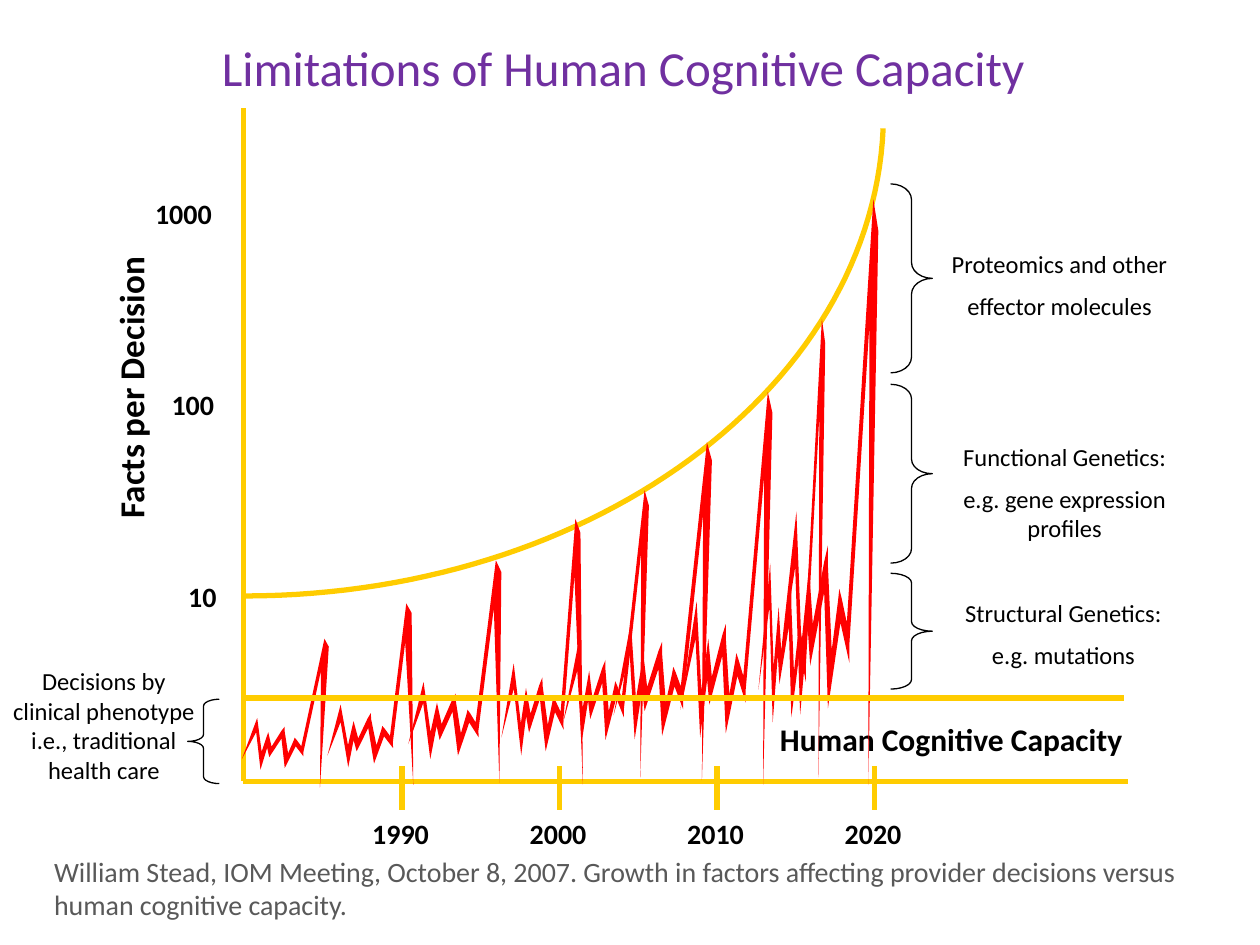
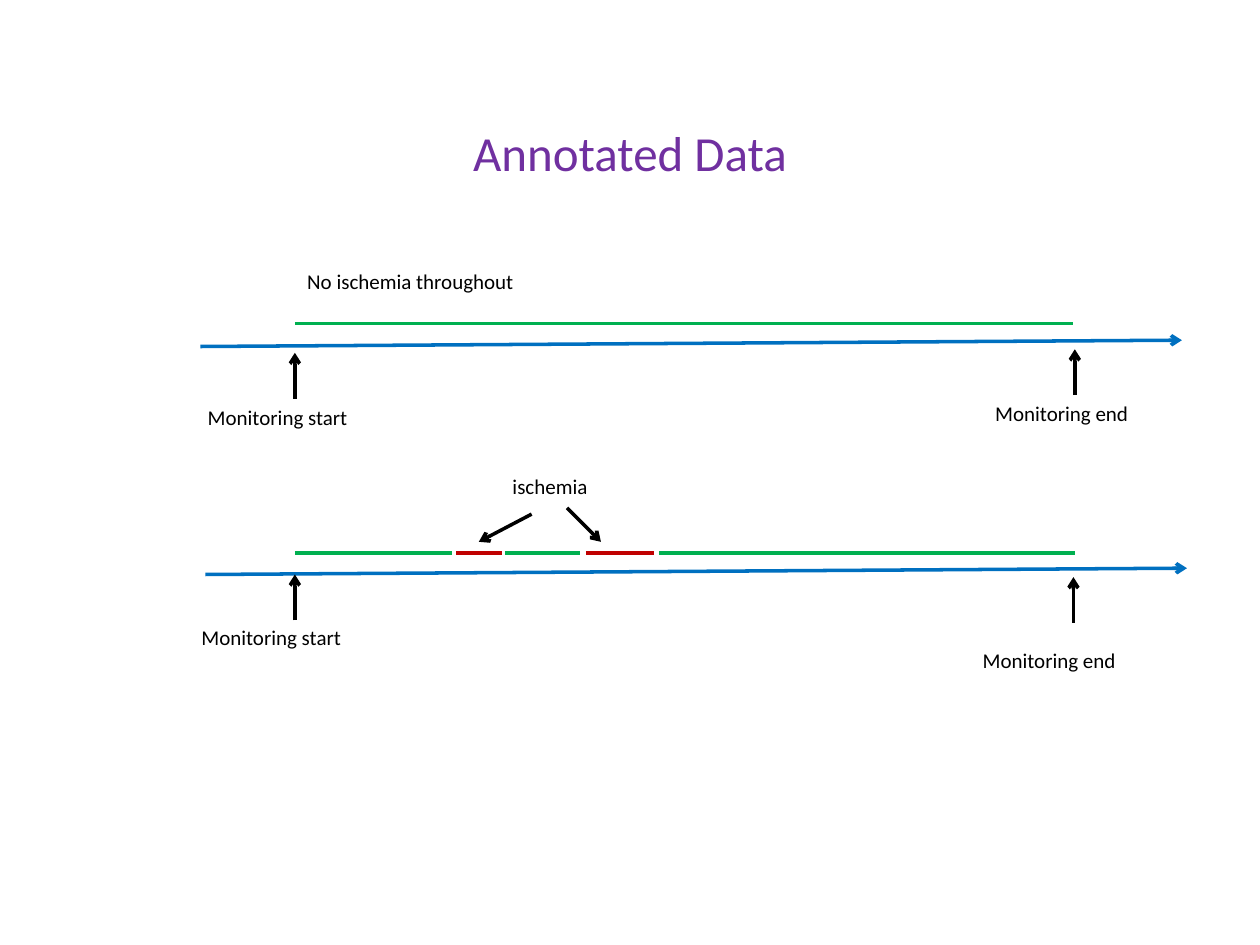
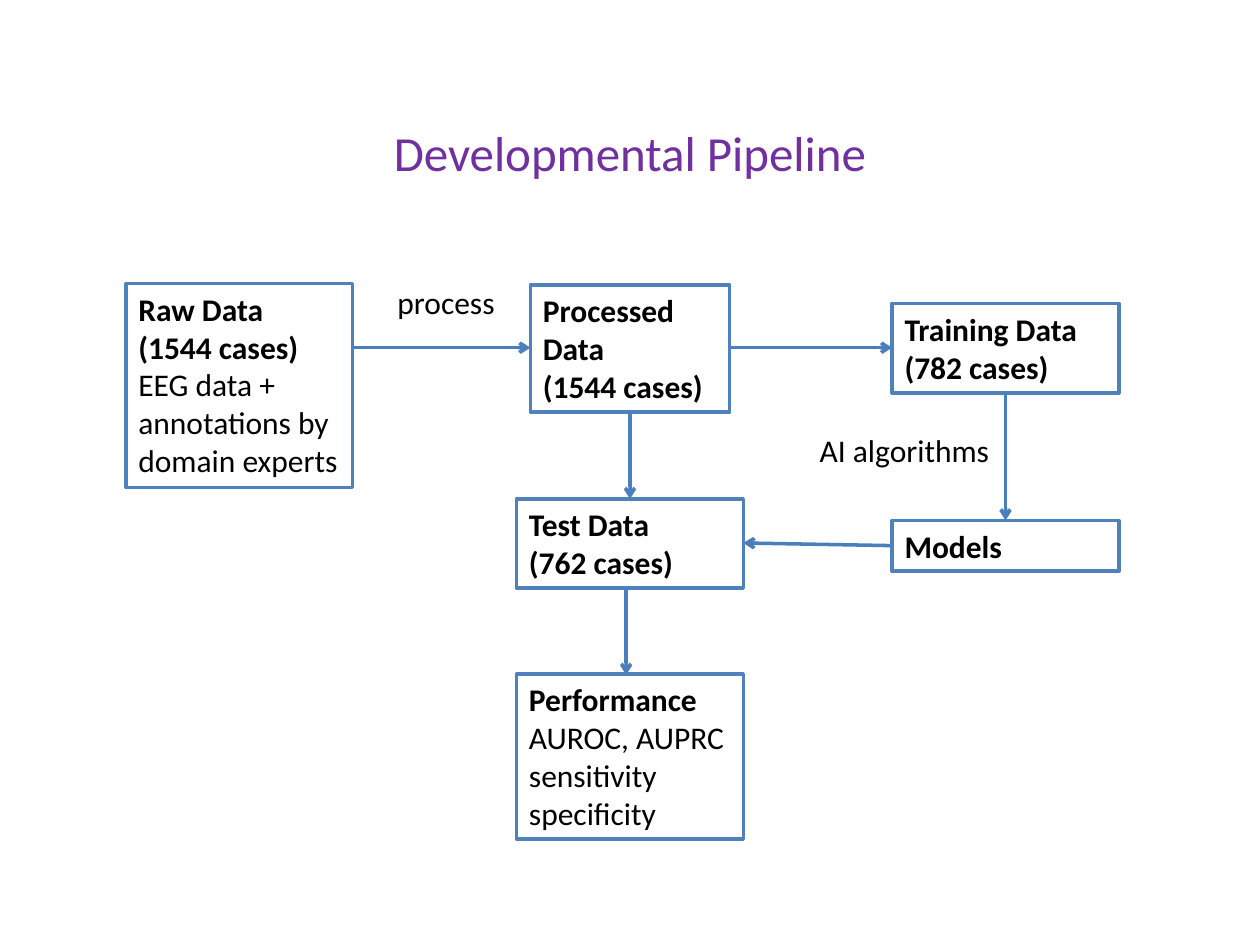
from lxml import etree
from pptx import Presentation
from pptx.dml.color import RGBColor
from pptx.enum import shapes, text
from pptx.oxml import ns
from pptx.util import Pt

BLACK = RGBColor(0x00, 0x00, 0x00)
PURPLE = RGBColor(0x70, 0x30, 0xA0)
GRAY = RGBColor(0x59, 0x59, 0x59)
GOLD = RGBColor(0xFF, 0xCC, 0x00)
RED = RGBColor(0xFF, 0x00, 0x00)
GREEN = RGBColor(0x00, 0xB0, 0x50)
BLUE = RGBColor(0x00, 0x70, 0xC0)
CRIMSON = RGBColor(0xC0, 0x00, 0x00)
STEEL = RGBColor(0x4F, 0x81, 0xBD)
SLATE = RGBColor(0x4B, 0x7E, 0xBC)
FONT = "Calibri"
LEFT, CENTER, RIGHT = text.PP_ALIGN.LEFT, text.PP_ALIGN.CENTER, text.PP_ALIGN.RIGHT
SHAPE = shapes.MSO_SHAPE

# Spike outline in percent of its width and height
SPIKE = [
    (100, 5.4), (95, 0), (68.4, 72.3), (63.3, 68.2), (60.8, 66.5), (59.5, 68.6),
    (53.2, 77), (49.4, 62.6), (49.4, 59.1), (45.6, 61.9), (34.2, 72.5), (30.4, 62.8),
    (22.8, 75.9), (17.7, 53.3), (0, 80.9), (16.5, 62.8), (21.5, 88), (29.1, 73.3),
    (31.6, 79.6), (45.6, 67.1), (49.4, 86.9), (62, 72.3), (68.4, 77.2), (70.9, 79.1),
    (70.9, 76.1), (91.1, 21.3), (89.9, 100),
]
SPIKES = [
    (138.2, 365, 49.7, 85, 0), (321.8, 280.1, 49, 164.2, 0),
    (231.8, 321.1, 56.9, 127.4, 357.8), (185, 346.3, 53.3, 103.7, 356.3),
    (284.4, 297.4, 50.4, 151.9, 357.4), (445, 113.8, 56.9, 334.8, 0),
    (433.4, 182.2, 38.2, 262.1, 0), (388.8, 223.9, 52.6, 224.6, 0),
    (350.6, 252.7, 56.2, 193, 0),
]
CURVE = [(139.7, 340.6), (337, 340.6), (498.2, 222.5), (504.7, 73.4)]


def write(frame, *lines, size=18, color=BLACK, bold=0, align=LEFT, gap=0):
    """Put lines in a frame; bold counts the leading bold lines."""
    frame.word_wrap = True
    frame.auto_size = text.MSO_AUTO_SIZE.NONE
    frame.vertical_anchor = text.MSO_ANCHOR.TOP
    for i, line in enumerate(lines):
        para = frame.paragraphs[0] if i == 0 else frame.add_paragraph()
        para.text = line
        para.alignment = align
        para.space_before = Pt(gap if i else 0)
        font = para.font
        font.name, font.size, font.bold = FONT, Pt(size), i < bold
        font.color.rgb = color


def label(slide, box, *lines, turn=0, **fmt):
    """Add a text box."""
    item = slide.shapes.add_textbox(*map(Pt, box))
    item.rotation = turn
    write(item.text_frame, *lines, **fmt)


def start(deck, title, box=(36, 66.2, 648, 41)):
    """Add a title-only slide with its title placed."""
    slide = deck.slides.add_slide(deck.slide_layouts[5])
    head = slide.shapes.title
    head.left, head.top, head.width, head.height = map(Pt, box)
    write(head.text_frame, title, size=28, color=PURPLE, align=CENTER)
    return slide


def rule(slide, x1, y1, x2, y2, color=BLACK, width=2, arrow=False):
    """Draw a straight line, with an arrowhead at its end if asked."""
    kind = shapes.MSO_CONNECTOR.STRAIGHT
    item = slide.shapes.add_connector(kind, Pt(x1), Pt(y1), Pt(x2), Pt(y2))
    item.line.color.rgb = color
    item.line.width = Pt(width)
    props = item._element.spPr
    if arrow:
        etree.SubElement(props.find(ns.qn("a:ln")), ns.qn("a:tailEnd"), type="arrow")
    etree.SubElement(props, ns.qn("a:effectLst"))


def frame(slide, kind, box, color, width):
    """Add an unfilled preset shape with an outline."""
    item = slide.shapes.add_shape(kind, *map(Pt, box))
    item.shadow.inherit = False
    item.fill.background()
    item.line.color.rgb = color
    item.line.width = Pt(width)
    return item


def brace(slide, kind, box, bend):
    """Add a curly brace."""
    item = frame(slide, kind, box, BLACK, 0.75)
    item.adjustments[0] = bend


def node(slide, box, *lines, bold=2):
    """Add a pipeline box with text."""
    write(frame(slide, SHAPE.RECTANGLE, box, STEEL, 2).text_frame, *lines, bold=bold)


def trace(slide, points, close):
    """Build a freeform through points."""
    spots = [(Pt(x), Pt(y)) for x, y in points]
    path = slide.shapes.build_freeform(*spots[0], scale=1.0)
    path.add_line_segments(spots[1:], close=close)
    item = path.convert_to_shape()
    item.shadow.inherit = False
    return item


def spike(slide, x, y, w, h, turn):
    """Draw one red burst of facts."""
    item = trace(slide, [(x + w * u / 100, y + h * v / 100) for u, v in SPIKE], True)
    item.fill.solid()
    item.fill.fore_color.rgb = RED
    item.line.fill.background()
    item.rotation = turn


def growth(slide, steps=60):
    """Draw the growth curve as a sampled cubic."""
    points = []
    for i in range(steps + 1):
        t = i / steps
        parts = ((1 - t) ** 3, 3 * t * (1 - t) ** 2, 3 * t * t * (1 - t), t ** 3)
        points.append([sum(p * c[k] for p, c in zip(parts, CURVE)) for k in (0, 1)])
    item = trace(slide, points, False)
    item.fill.background()
    item.line.color.rgb = GOLD
    item.line.width = Pt(3)


def limits(deck):
    """Build the cognitive capacity slide."""
    slide = start(deck, "Limitations of Human Cognitive Capacity", (18, 18, 676, 41))
    note = dict(size=14, align=CENTER, gap=7)
    mark = dict(size=16, bold=1, align=CENTER)
    label(slide, (-0.7, 377.3, 120.2, 74.9),
          "Decisions by clinical phenotype i.e., traditional health care", **note)
    label(slide, (-21.6, 205.9, 192.2, 31), "Facts per Decision",
          turn=270, size=20, bold=1, align=CENTER)
    rule(slide, 139, 62, 139, 446.4, GOLD, 3)
    rule(slide, 139, 446.4, 644.4, 446.4, GOLD, 3)
    for i, name in enumerate(("1000", "100", "10")):
        wide = 54 - 10.8 * i
        label(slide, (131.8 - wide, 108.8 + 109.4 * i, wide, 26.6), name, **mark)
    for i, year in enumerate(("1990", "2000", "2010", "2020")):
        x = 229.7 + 90 * i
        rule(slide, x, 437.8, x, 463, GOLD, 3)
        label(slide, (x - 26.7, 463, 51.8, 26.6), year, **mark)
    label(slide, (431.3, 408.2, 224.6, 50.4), "Human Cognitive Capacity",
          bold=1, align=CENTER)
    growth(slide)
    for burst in SPIKES:
        spike(slide, *burst)
    rule(slide, 138.2, 398.9, 642.2, 398.9, GOLD, 3)
    for y, h, bend in ((327.6, 66.2, 0.23), (219.6, 102.2, 0.35), (105.1, 108, 0.38)):
        brace(slide, SHAPE.RIGHT_BRACE, (509, y, 23.8, h), bend)
    brace(slide, SHAPE.LEFT_BRACE, (107.3, 399.6, 18, 48.2), 0.22)
    label(slide, (521.3, 249.1, 174.2, 67), "Functional Genetics:",
          "e.g. gene expression profiles", **note)
    label(slide, (493.2, 139, 224.6, 49), "Proteomics and other",
          "effector molecules", **note)
    label(slide, (495.4, 338.4, 224.6, 49.7), "Structural Genetics:",
          "e.g. mutations", **note)
    label(slide, (23.8, 484.6, 670.3, 46), "William Stead, IOM Meeting, October 8, 2007. "
          "Growth in factors affecting provider decisions versus human cognitive capacity.",
          size=16, color=GRAY)


def data(deck):
    """Build the annotated monitoring timelines."""
    slide = start(deck, "Annotated Data")
    for x, y in ((114.5, 198), (117.4, 328.3)):
        rule(slide, x, y, x + 560.9, y - 3.6, BLUE, arrow=True)
    for x, y in ((168.5, 201.6), (614.2, 199.6), (168.5, 328.3), (613.4, 329.8)):
        rule(slide, x, y + 26.2, x, y, arrow=True)
    for x1, x2, y, color in (
        (168.5, 613.4, 185, GREEN), (168.5, 258.5, 316.1, GREEN),
        (260.6, 286.6, 316.1, CRIMSON), (288.7, 331.2, 316.1, GREEN),
        (334.8, 373.7, 316.1, CRIMSON), (376.6, 614.2, 316.1, GREEN),
    ):
        rule(slide, x1, y, x2, y, color)
    rule(slide, 303.8, 293.8, 273.6, 309.6, arrow=True)
    rule(slide, 324, 290.2, 343.4, 309.6, arrow=True)
    for x, y, w, name in (
        (168.5, 149.8, 372.2, "No ischemia throughout"),
        (111.6, 227.5, 113.8, "Monitoring start"), (561.6, 225.4, 105.8, "Monitoring end"),
        (285.8, 267.1, 77, "ischemia"),
        (108, 353.5, 120.2, "Monitoring start"), (554.4, 366.5, 111.6, "Monitoring end"),
    ):
        label(slide, (x, y, w, 26.6), name, size=12)


def flow(deck):
    """Build the pipeline diagram."""
    slide = start(deck, "Developmental Pipeline")
    for ends in (
        (201.6, 198.7, 303.1, 198.7), (416.9, 198.7, 509.8, 198.7),
        (574.6, 224, 574.6, 297.4), (360, 235.4, 360, 285.1),
        (509.8, 311.8, 424.8, 310.3), (357.8, 336.2, 357.8, 385.6),
    ):
        rule(slide, *ends, SLATE, arrow=True)
    node(slide, (72, 162, 129.6, 116.6), "Raw Data", "(1544 cases)",
         "EEG data + annotations by domain experts")
    node(slide, (303.1, 162.7, 113.8, 72.7), "Processed Data", "(1544 cases)")
    node(slide, (509.8, 173.5, 129.6, 51), "Training Data", "(782 cases)")
    node(slide, (295.2, 285.1, 129.6, 51), "Test Data", "(762 cases)")
    node(slide, (509.8, 297.4, 129.6, 29), "Models")
    node(slide, (295.2, 385.2, 129.6, 94.3), "Performance",
         "AUROC, AUPRC sensitivity specificity", bold=1)
    label(slide, (214.6, 158.4, 80.6, 29), "process", align=CENTER)
    label(slide, (375.8, 242.6, 196.6, 29), "AI algorithms", align=RIGHT)


def main():
    """Build and save the deck."""
    deck = Presentation()
    deck.slide_width, deck.slide_height = Pt(720), Pt(540)
    limits(deck)
    data(deck)
    flow(deck)
    deck.save("out.pptx")


if __name__ == "__main__":
    main()
